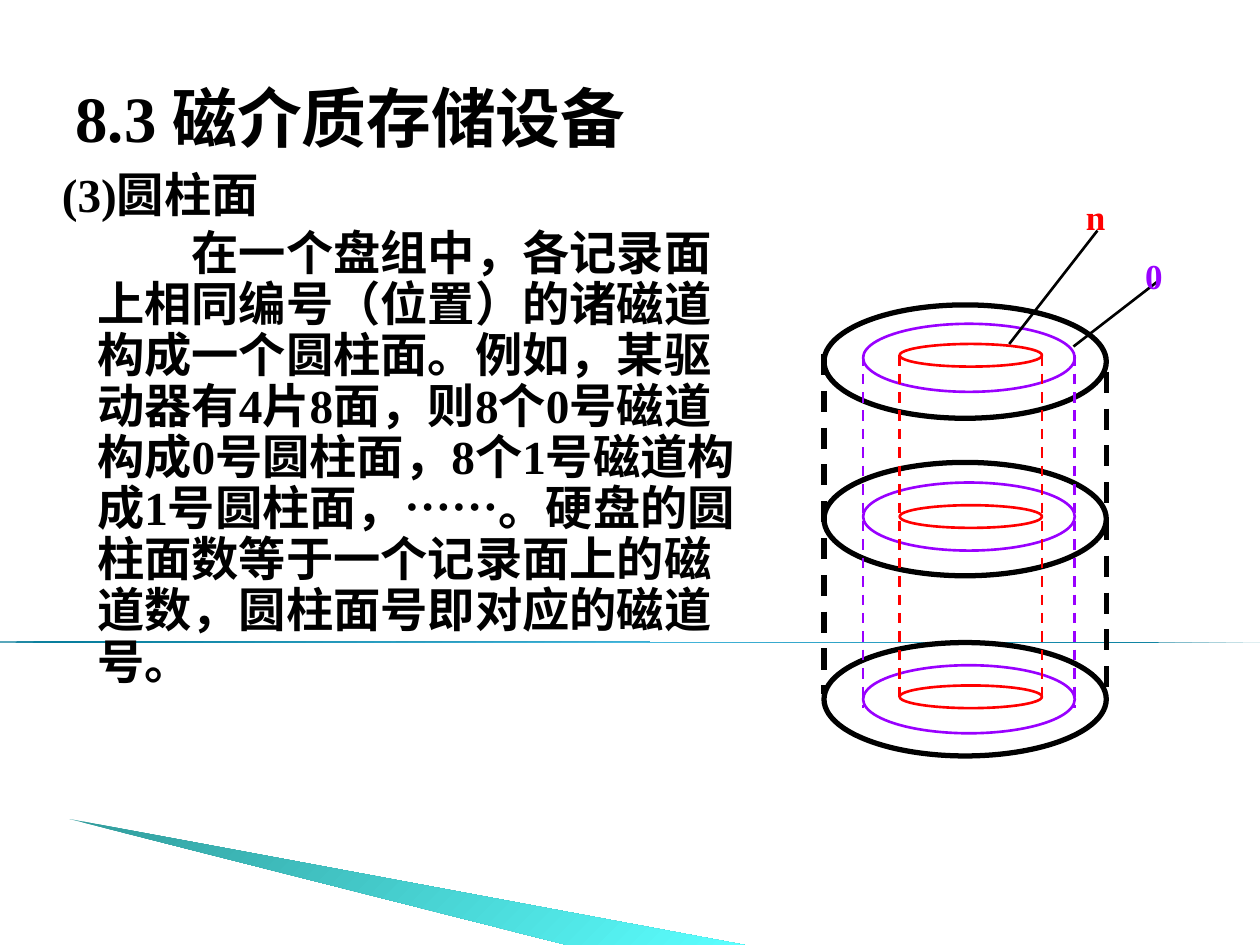
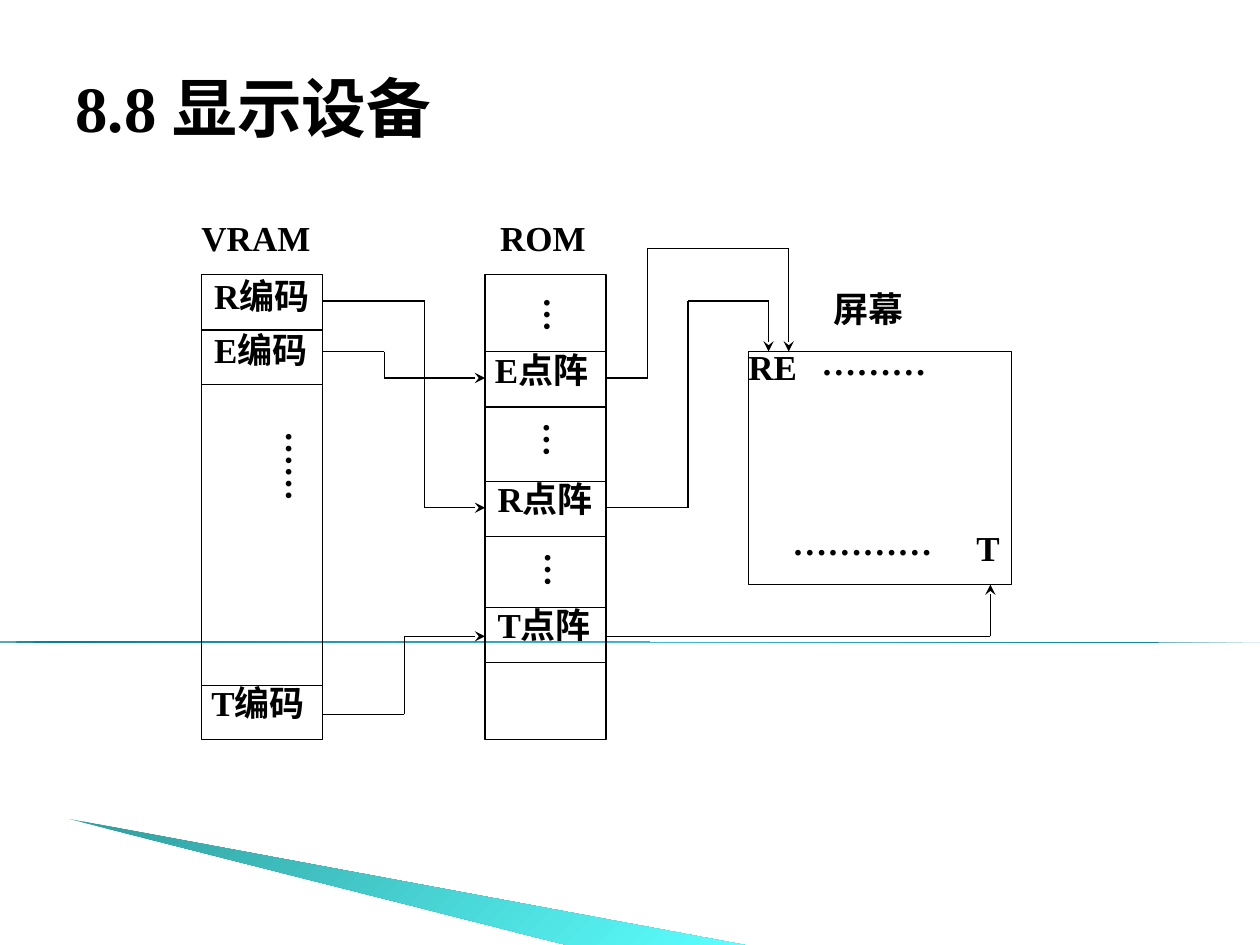
from copy import deepcopy
from dataclasses import dataclass
from typing import NamedTuple

from lxml import etree
from pptx import Presentation
from pptx.dml.color import RGBColor
from pptx.enum.dml import MSO_LINE
from pptx.enum.shapes import MSO_CONNECTOR, MSO_SHAPE
from pptx.enum.text import MSO_ANCHOR, MSO_AUTO_SIZE, PP_ALIGN
from pptx.oxml.ns import qn
from pptx.util import Inches, Pt


@dataclass(frozen=True)
class Theme:
    font: str = "Times New Roman"
    ellipsis_font: str = "Arial"
    black: str = "000000"
    purple: str = "9900FF"
    red: str = "FF0000"
    band: tuple[str, ...] = ("007897", "4ABBE0", "007897")
    wedge: tuple[str, ...] = ("319C9C", "5BFFFF")
    title_size: float = 37
    body_size: float = 27
    label_size: float = 20
    thin: float = 0.75
    medium: float = 1.5
    thick: float = 3


THEME = Theme()
Point = tuple[float, float]


class Label(NamedTuple):
    text: str
    left: float
    top: float
    width: float = 1.28
    rotation: float = 0
    color: str = THEME.black


class Track(NamedTuple):
    left: float
    width: float
    height: float
    tops: tuple[float, ...]
    color: str
    weight: float
    walls: tuple[Point, Point]  # top and bottom of the left and right wall


class Column(NamedTuple):
    left: float
    dividers: tuple[float, ...]


class Route(NamedTuple):
    points: tuple[Point, ...]


# Shared helpers
def format_run(r, size: float, color: str = THEME.black, font: str = THEME.font) -> None:
    r.font.name = font
    r.font.size = Pt(size)
    r.font.bold = True
    r.font.color.rgb = RGBColor.from_string(color)


def place(sp, left: float, top: float, width: float, height: float) -> None:
    sp.left, sp.top = Inches(left), Inches(top)
    sp.width, sp.height = Inches(width), Inches(height)


def add_outline(slide, kind: MSO_SHAPE, left: float, top: float, width: float,
                height: float, weight: float, color: str = THEME.black) -> None:
    sp = slide.shapes.add_shape(kind, Inches(left), Inches(top), Inches(width), Inches(height))
    sp.shadow.inherit = False
    sp.fill.background()
    sp.line.color.rgb = RGBColor.from_string(color)
    sp.line.width = Pt(weight)


def add_line(slide, start: Point, end: Point, weight: float, color: str = THEME.black,
             dashed: bool = False, arrow: bool = False) -> None:
    line = slide.shapes.add_connector(
        MSO_CONNECTOR.STRAIGHT, *(Inches(v) for v in (*start, *end)))
    line.line.color.rgb = RGBColor.from_string(color)
    line.line.width = Pt(weight)
    if dashed:
        line.line.dash_style = MSO_LINE.DASH
    if arrow:
        etree.SubElement(line.line._get_or_add_ln(), qn("a:tailEnd"), type="stealth")
    etree.SubElement(line.element.spPr, qn("a:effectLst"))


def add_label(slide, label: Label) -> None:
    sp = slide.shapes.add_textbox(
        Inches(label.left), Inches(label.top), Inches(label.width), Inches(0.44))
    sp.rotation = label.rotation
    tf = sp.text_frame
    tf.word_wrap = True
    tf.auto_size = MSO_AUTO_SIZE.SHAPE_TO_FIT_TEXT
    tf.text = label.text
    format_run(tf.paragraphs[0].runs[0], THEME.label_size, label.color)


def set_title(slide, text: str):
    sp = slide.shapes.title
    place(sp, 0.5, 0.3, 9, 1.25)
    tf = sp.text_frame
    tf.text = text
    tf.auto_size = MSO_AUTO_SIZE.NONE
    tf.vertical_anchor = MSO_ANCHOR.MIDDLE
    p = tf.paragraphs[0]
    p.alignment = PP_ALIGN.LEFT
    format_run(p.runs[0], THEME.title_size)
    return p


# Master decoration
def fill_gradient(sp, colors: tuple[str, ...], angle: float) -> None:
    sp.shadow.inherit = False
    sp.line.fill.background()
    sp.fill.gradient()
    sp.fill.gradient_angle = angle
    stops = sp.element.spPr.find(".//" + qn("a:gsLst"))
    if len(colors) > len(stops):
        stops.insert(1, deepcopy(stops[0]))
    for i, (stop, color) in enumerate(zip(sp.fill.gradient_stops, colors)):
        stop.position = i / (len(colors) - 1)
        stop.color.rgb = RGBColor.from_string(color)


def decorate_master(prs, slide) -> None:
    band = slide.shapes.add_shape(
        MSO_SHAPE.RIGHT_TRIANGLE, 0, Inches(5.09), Inches(10), Inches(0.01))
    fill_gradient(band, THEME.band, 310)

    builder = slide.shapes.build_freeform(Inches(0.55), Inches(6.5))
    builder.add_line_segments(
        [(Inches(x), Inches(y)) for x, y in ((5.91, 7.5), (4.5, 7.5))])
    wedge = builder.convert_to_shape()
    fill_gradient(wedge, THEME.wedge, 315)

    for sp in (band, wedge):
        prs.slide_master.shapes.element.append(sp.element)


# Slide 1: cylinders of a disk pack
BODY = (
    ("(3)圆柱面",),
    ("在一个盘组中，各记录面上相同编号（位置）的诸磁道构成一个圆柱面。"
     "例如，某驱动器有4片8面，则8个0号磁道构成0号圆柱面，8个1号磁道构成1号圆柱面，",
     "……",
     "。硬盘的圆柱面数等于一个记录面上的磁道数，圆柱面号即对应的磁道号。"),
)
TRACKS = (
    Track(6.54, 2.24, 0.9, (2.42, 3.67, 5.1), THEME.black, THEME.thick,
          ((2.81, 5.51), (2.95, 5.57))),
    Track(6.85, 1.68, 0.54, (2.57, 3.83, 5.28), THEME.purple, THEME.medium,
          ((2.82, 5.62),) * 2),
    Track(7.14, 1.13, 0.18, (2.73, 4.01, 5.44), THEME.red, THEME.medium,
          ((2.82, 5.55),) * 2),
)
POINTERS = (((8.52, 2.75), (9.18, 2.24)), ((8.01, 2.73), (8.71, 1.83)))
TRACK_LABELS = (
    Label("0", 8.99, 1.97, 0.86, color=THEME.purple),
    Label("n", 8.52, 1.5, 0.86, color=THEME.red),
)


def fill_body(slide) -> None:
    sp = slide.placeholders[1]
    place(sp, 0.27, 1.31, 5.73, 5.6)
    tf = sp.text_frame
    tf.auto_size = MSO_AUTO_SIZE.NONE
    for i, (parts, indent) in enumerate(zip(BODY, (-0.28, 0.75))):
        p = tf.add_paragraph() if i else tf.paragraphs[0]
        pPr = p._p.get_or_add_pPr()
        pPr.set("marL", str(Inches(0.4)))
        pPr.set("indent", str(Inches(indent)))
        etree.SubElement(pPr, qn("a:buNone"))
        p.line_spacing = 0.9
        p.space_before = Pt(4 * i)
        for part in parts:
            r = p.add_run()
            r.text = part
            font = THEME.ellipsis_font if part == "……" else THEME.font
            format_run(r, THEME.body_size, font=font)


def build_cylinders(slide) -> None:
    set_title(slide, "8.3 磁介质存储设备")
    fill_body(slide)
    for track in TRACKS:
        for top in track.tops:
            add_outline(slide, MSO_SHAPE.OVAL, track.left, top, track.width,
                        track.height, track.weight, track.color)
    for track in TRACKS:
        sides = (track.left, track.left + track.width)
        for x, (top, bottom) in zip(sides, track.walls):
            add_line(slide, (x, top), (x, bottom), track.weight, track.color, dashed=True)
    for start, end in POINTERS:
        add_line(slide, start, end, THEME.medium)
    for label in TRACK_LABELS:
        add_label(slide, label)


# Slide 2: from character codes to dot patterns on the screen
COLUMN_TOP, COLUMN_WIDTH, COLUMN_HEIGHT = 2.18, 0.96, 3.69
VRAM = Column(1.6, (2.62, 3.05, 5.44))
ROM = Column(3.85, (2.79, 3.23, 3.82, 4.26, 4.82, 5.26))
VRAM_RIGHT, ROM_RIGHT = VRAM.left + COLUMN_WIDTH, ROM.left + COLUMN_WIDTH
E_ROW, R_ROW, T_ROW = 3, 4.03, 5.05
SCREEN_TOP, SCREEN_BOTTOM = 2.79, 4.64
ROUTES = (
    Route(((VRAM_RIGHT, 2.39), (3.37, 2.39), (3.37, R_ROW), (ROM.left, R_ROW))),
    Route(((VRAM_RIGHT, 2.79), (3.05, 2.79), (3.05, E_ROW), (ROM.left, E_ROW))),
    Route(((VRAM_RIGHT, 5.67), (3.21, 5.67), (3.21, T_ROW), (ROM.left, T_ROW))),
    Route(((ROM_RIGHT, E_ROW), (5.14, E_ROW), (5.14, 1.97), (6.26, 1.97),
           (6.26, SCREEN_TOP))),
    Route(((ROM_RIGHT, R_ROW), (5.46, R_ROW), (5.46, 2.39), (6.1, 2.39),
           (6.1, SCREEN_TOP))),
    Route(((ROM_RIGHT, T_ROW), (7.86, T_ROW), (7.86, SCREEN_BOTTOM))),
)
DISPLAY_LABELS = (
    Label("ROM", 3.87, 1.67),
    Label("VRAM", 1.5, 1.67),
    Label("E点阵", 3.83, 2.72),
    Label("R点阵", 3.85, 3.74),
    Label("T点阵", 3.85, 4.74),
    Label("R编码", 1.6, 2.13),
    Label("E编码", 1.6, 2.56),
    Label("T编码", 1.58, 5.36),
    Label("RE", 5.84, 2.69),
    Label("…", 3.4, 4.06, 2.05, 90),
    Label("…", 3.41, 5.09, 2.05, 90),
    Label("…", 3.41, 3.06, 2.04, 90),
    Label("……", 1.36, 4.13, 2.04, 90),
    Label("………", 6.42, 2.65, 2.41),
    Label("屏幕", 6.52, 2.23, 1.37),
    Label("T", 7.65, 4.13, 0.76),
    Label("…………", 6.19, 4.08, 1.79),
)


def build_display(slide) -> None:
    p = set_title(slide, "8.8 显示设备")
    p.alignment = PP_ALIGN.JUSTIFY
    p.line_spacing = 0.7
    for column in (VRAM, ROM):
        add_outline(slide, MSO_SHAPE.RECTANGLE, column.left, COLUMN_TOP,
                    COLUMN_WIDTH, COLUMN_HEIGHT, THEME.thin)
        for y in column.dividers:
            add_line(slide, (column.left, y), (column.left + COLUMN_WIDTH, y), THEME.thin)
    add_outline(slide, MSO_SHAPE.RECTANGLE, 5.94, SCREEN_TOP, 2.09,
                SCREEN_BOTTOM - SCREEN_TOP, THEME.thin)
    for route in ROUTES:
        for start, end in zip(route.points, route.points[1:]):
            add_line(slide, start, end, THEME.thin, arrow=end == route.points[-1])
    for label in DISPLAY_LABELS:
        add_label(slide, label)


def main() -> None:
    prs = Presentation()
    prs.slide_width, prs.slide_height = Inches(10), Inches(7.5)
    content, title_only = prs.slide_layouts[1], prs.slide_layouts[5]
    cylinders = prs.slides.add_slide(content)
    decorate_master(prs, cylinders)
    build_cylinders(cylinders)
    build_display(prs.slides.add_slide(title_only))
    prs.save("out.pptx")


if __name__ == "__main__":
    main()
